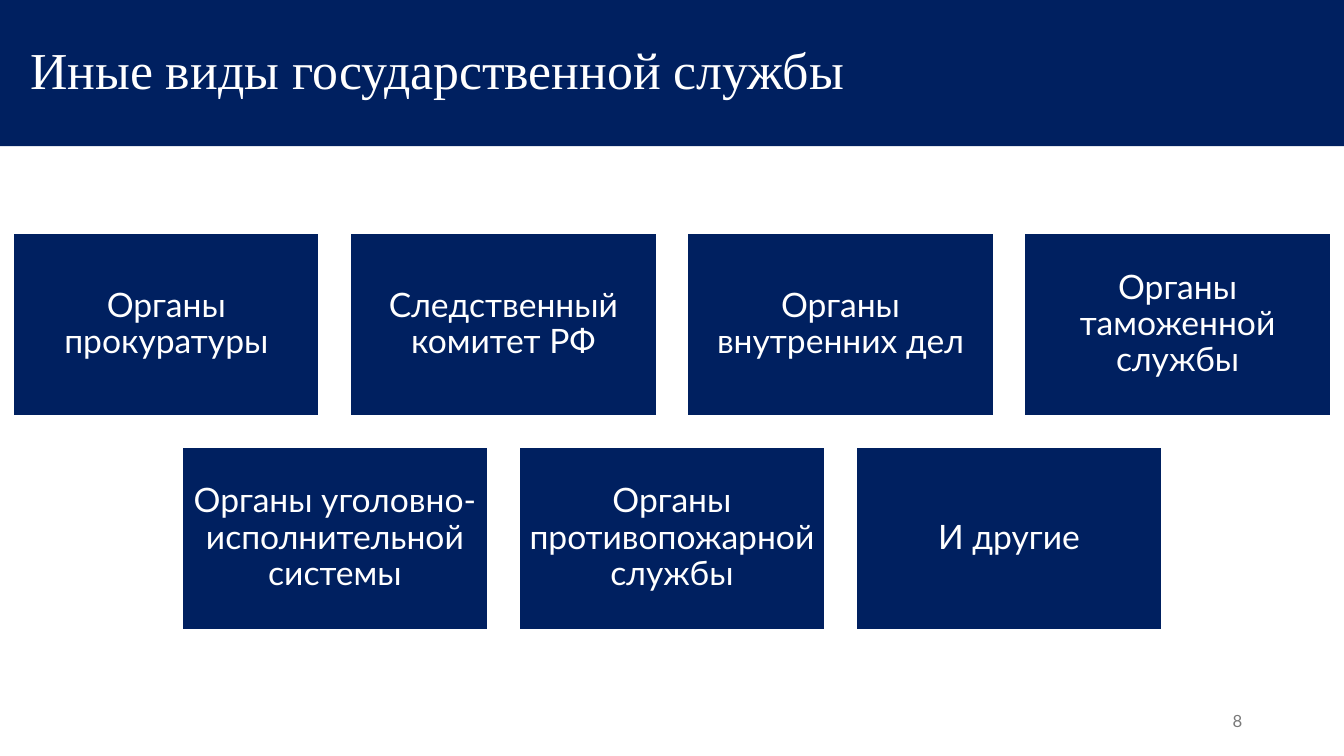
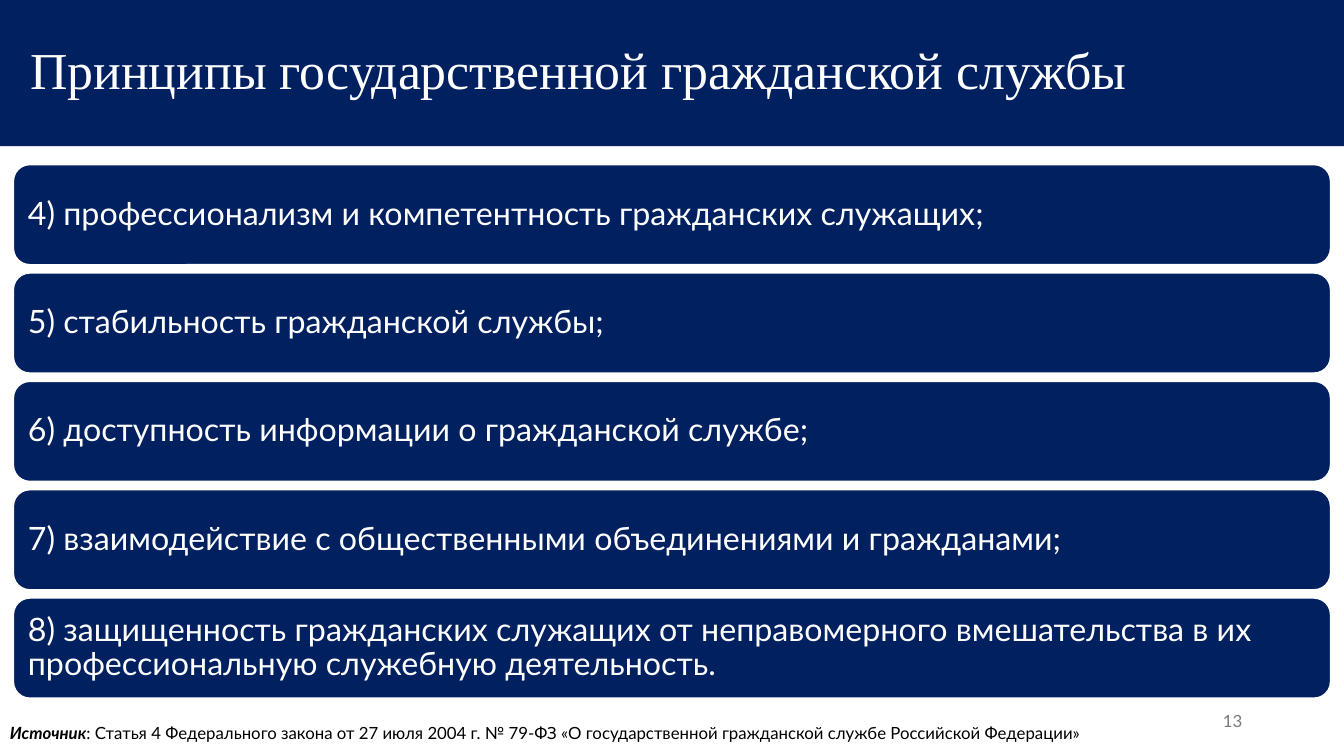
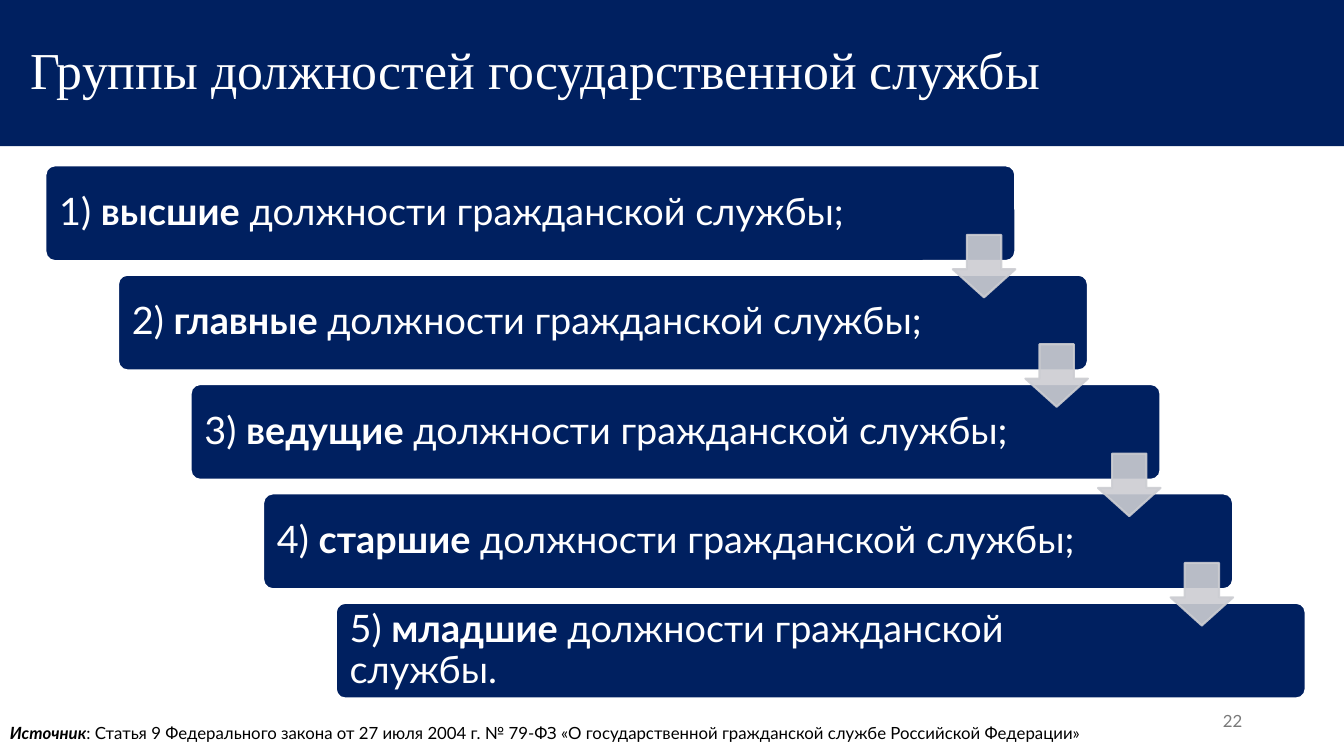
from lxml.etree import SubElement
from pptx import Presentation
from pptx.dml.color import RGBColor
from pptx.enum.shapes import MSO_SHAPE as Shape
from pptx.enum.text import MSO_ANCHOR as Anchor, MSO_AUTO_SIZE as AutoSize, PP_ALIGN as Align
from pptx.oxml.ns import qn
from pptx.util import Inches, Pt

NAVY = RGBColor(0x00, 0x20, 0x60)
WHITE = RGBColor(0xFF, 0xFF, 0xFF)
BLACK = RGBColor(0x00, 0x00, 0x00)
GREY = RGBColor(0x79, 0x79, 0x79)
ARROW_GREY = RGBColor(0xCC, 0xCD, 0xD2)
TITLE_FONT, BODY_FONT = "Times New Roman", "Lato"
SLIDE_WIDTH, SLIDE_HEIGHT = 13.33, 7.5
CONTENT_WIDTH = 13.07
CONTENT_LEFT = (SLIDE_WIDTH - CONTENT_WIDTH) / 2

SERVICES = {
    "title": "Иные виды государственной службы",
    "number": 8,
    "rows": [
        ["Органы прокуратуры", "Следственный комитет РФ",
         "Органы внутренних дел", "Органы таможенной службы"],
        ["Органы уголовно-исполнительной системы",
         "Органы противопожарной службы", "И другие"],
    ],
}
PRINCIPLES = {
    "title": "Принципы государственной гражданской службы",
    "number": 13,
    "article": 4,
    "items": [
        "4) профессионализм и компетентность гражданских служащих;",
        "5) стабильность гражданской службы;",
        "6) доступность информации о гражданской службе;",
        "7) взаимодействие с общественными объединениями и гражданами;",
        "8) защищенность гражданских служащих от неправомерного вмешательства в их "
        "профессиональную служебную деятельность.",
    ],
}
POSITIONS = {
    "title": "Группы должностей государственной службы",
    "number": 22,
    "article": 9,
    "groups": ["высшие", "главные", "ведущие", "старшие", "младшие"],
}


def set_font(paragraph, name, size, color):
    paragraph.font.name = name
    paragraph.font.size = Pt(size)
    paragraph.font.color.rgb = color


def add_runs(paragraph, *runs):
    """Add (text, bold, italic) runs."""
    for text, bold, italic in runs:
        run = paragraph.add_run()
        run.text = text
        run.font.bold = bold
        run.font.italic = italic


def add_text_box(slide, left, top, width, height, size, color):
    """Add an empty text box and return its text frame."""
    box = slide.shapes.add_textbox(*map(Inches, (left, top, width, height)))
    frame = box.text_frame
    frame.word_wrap = True
    set_font(frame.paragraphs[0], BODY_FONT, size, color)
    return frame


def add_shape(slide, kind, left, top, width, height, fill, line):
    shape = slide.shapes.add_shape(kind, *map(Inches, (left, top, width, height)))
    shape.shadow.inherit = False
    shape.fill.solid()
    shape.fill.fore_color.rgb = fill
    shape.line.color.rgb = line
    shape.line.width = Pt(1.5)
    return shape


def add_block(slide, kind, left, top, width, height, size, align, inset=0.1):
    """Add a navy block; return it with its one empty paragraph."""
    block = add_shape(slide, kind, left, top, width, height, NAVY, WHITE)
    frame = block.text_frame
    frame.word_wrap = True
    frame.vertical_anchor = Anchor.MIDDLE
    frame.margin_left = frame.margin_right = Inches(inset)
    frame.margin_top = frame.margin_bottom = Inches(inset)
    paragraph = frame.paragraphs[0]
    paragraph.alignment = align
    paragraph.line_spacing = 0.9
    set_font(paragraph, BODY_FONT, size, WHITE)
    return block, paragraph


def add_slide(presentation, content):
    """Add a slide with title band, number and, if an article is named, its source."""
    slide = presentation.slides.add_slide(presentation.slide_layouts[5])
    title = slide.shapes.title
    title.left = title.top = 0
    title.width, title.height = Inches(SLIDE_WIDTH), Inches(1.45)
    title.fill.solid()
    title.fill.fore_color.rgb = NAVY
    title.text = content["title"]
    frame = title.text_frame
    frame.auto_size = AutoSize.NONE
    frame.vertical_anchor = Anchor.MIDDLE
    frame.margin_left = Inches(0.3)
    paragraph = frame.paragraphs[0]
    paragraph.alignment = Align.LEFT
    paragraph.line_spacing = 0.9
    set_font(paragraph, TITLE_FONT, 37, WHITE)

    frame = add_text_box(slide, 9.42, 6.95, 3, 0.4, 12, GREY)
    frame.vertical_anchor = Anchor.MIDDLE
    frame.paragraphs[0].alignment = Align.RIGHT
    add_runs(frame.paragraphs[0], (str(content["number"]), False, False))

    if "article" in content:
        frame = add_text_box(slide, 0, 7.12, SLIDE_WIDTH, 0.3, 12, BLACK)
        law = (f": Статья {content['article']} Федерального закона от 27 июля 2004 г. № 79-ФЗ "
               "«О государственной гражданской службе Российской Федерации»")
        add_runs(frame.paragraphs[0], ("Источник", True, True), (law, False, False))
    return slide


def spread(first, last, count):
    """Return evenly spaced positions from first to last."""
    return [first + (last - first) * index / (count - 1) for index in range(count)]


def build_services(presentation):
    slide = add_slide(presentation, SERVICES)
    width, height, top, row_gap = 3.04, 1.82, 2.31, 0.3
    columns = len(SERVICES["rows"][0])
    pitch = (CONTENT_WIDTH - width) / (columns - 1)
    for row, names in enumerate(SERVICES["rows"]):
        left = (SLIDE_WIDTH - width - pitch * (len(names) - 1)) / 2
        for column, name in enumerate(names):
            _, paragraph = add_block(slide, Shape.RECTANGLE, left + column * pitch,
                                     top + row * (height + row_gap), width, height,
                                     24, Align.CENTER)
            add_runs(paragraph, (name, False, False))


def build_principles(presentation):
    slide = add_slide(presentation, PRINCIPLES)
    items = PRINCIPLES["items"]
    for item, top in zip(items, spread(1.63, 5.93, len(items))):
        _, paragraph = add_block(slide, Shape.ROUNDED_RECTANGLE, CONTENT_LEFT, top,
                                 CONTENT_WIDTH, 1, 23, Align.LEFT)
        add_runs(paragraph, (item, False, False))


def add_step_arrow(slide, left, top, size):
    arrow = add_shape(slide, Shape.DOWN_ARROW, left, top, size, size, ARROW_GREY, ARROW_GREY)
    arrow.adjustments[0], arrow.adjustments[1] = 0.55, 0.45
    for color in arrow._element.spPr.iter(qn("a:srgbClr")):
        SubElement(color, qn("a:alpha"), val="90000")


def build_positions(presentation):
    slide = add_slide(presentation, POSITIONS)
    groups = POSITIONS["groups"]
    count, width, arrow_size = len(groups), 9.62, 0.62
    steps = list(zip(spread(0.45, 3.33, count), spread(1.64, 5.98, count)))
    for number, (group, (left, top)) in enumerate(zip(groups, steps), 1):
        bar, paragraph = add_block(slide, Shape.ROUNDED_RECTANGLE, left, top, width, 0.95,
                                   27, Align.LEFT, inset=0.11)
        bar.adjustments[0] = 0.1
        bar.text_frame.margin_right = Inches(1.45)
        ending = "." if number == count else ";"
        add_runs(paragraph, (f"{number}) ", False, False), (group, True, False),
                 (f" должности гражданской службы{ending}", False, False))
    for left, top in steps[:-1]:
        add_step_arrow(slide, left + width - arrow_size, top + 0.69, arrow_size)


def main():
    presentation = Presentation()
    presentation.slide_width = Inches(SLIDE_WIDTH)
    presentation.slide_height = Inches(SLIDE_HEIGHT)
    build_services(presentation)
    build_principles(presentation)
    build_positions(presentation)
    presentation.save("out.pptx")


if __name__ == "__main__":
    main()
